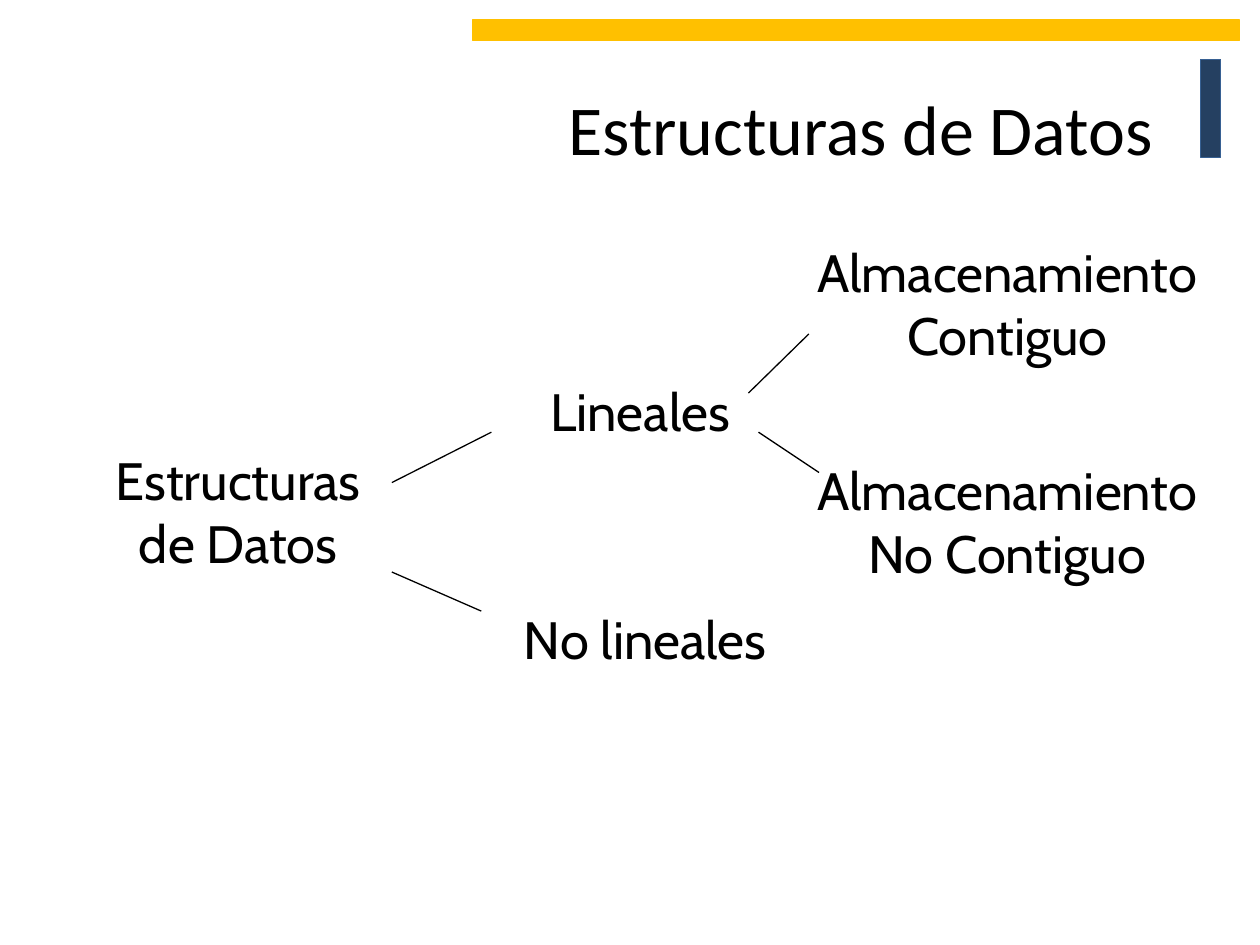
from pptx import Presentation
from pptx import util as u
from pptx.dml.color import RGBColor
from pptx.enum import shapes, text
from pptx.oxml.ns import qn
from lxml import etree


def color(hex_code):
    return RGBColor.from_string(hex_code)


def write(frame, content, *, size, font, fill, align, anchor):
    """Put one formatted paragraph into a text frame."""
    frame.word_wrap = True
    frame.vertical_anchor = anchor
    paragraph = frame.paragraphs[0]
    paragraph.alignment = align
    run = paragraph.add_run()
    run.text = content
    run.font.size = u.Pt(size)
    run.font.name = font
    run.font.color.rgb = color(fill)


class DiagramSlide:
    ink = "000000"
    line_width = u.Pt(0.75)
    title_font, title_size = "Calibri", 40
    label_font, label_size = "Cabin", 30

    def __init__(self, slide):
        self.slide = slide

    def bar(self, box, fill, outline):
        shape = self.slide.shapes.add_shape(
            shapes.MSO_SHAPE.RECTANGLE, *map(u.Inches, box))
        shape.shadow.inherit = False
        shape.fill.solid()
        shape.fill.fore_color.rgb = color(fill)
        shape.line.color.rgb = color(outline)
        shape.line.width = self.line_width

    def title(self, box, content):
        shape = self.slide.shapes.add_textbox(*map(u.Inches, box))
        write(shape.text_frame, content, size=self.title_size,
              font=self.title_font, fill=self.ink,
              align=text.PP_ALIGN.RIGHT, anchor=text.MSO_ANCHOR.MIDDLE)

    def label(self, box, content):
        shape = self.slide.shapes.add_textbox(*map(u.Inches, box))
        write(shape.text_frame, content, size=self.label_size,
              font=self.label_font, fill=self.ink,
              align=text.PP_ALIGN.CENTER, anchor=text.MSO_ANCHOR.TOP)
        shape.text_frame.auto_size = text.MSO_AUTO_SIZE.SHAPE_TO_FIT_TEXT

    def branch(self, ends):
        connector = self.slide.shapes.add_connector(
            shapes.MSO_CONNECTOR.STRAIGHT, *map(u.Inches, ends))
        connector.line.color.rgb = color(self.ink)
        connector.line.width = self.line_width
        properties = connector._element.spPr
        etree.SubElement(properties, qn("a:effectLst"))


LABELS = [
    ((0.75, 3.51, 2.28, 1.1), "Estructuras de Datos"),
    ((3.9, 2.96, 2.36, 0.6), "Lineales"),
    ((3.98, 4.77, 2.28, 0.6), "No lineales"),
    ((6.34, 1.86, 3.31, 1.1), "Almacenamiento Contiguo"),
    ((6.34, 3.59, 3.31, 1.1), "Almacenamiento No Contiguo"),
]
BRANCHES = [
    (3.11, 3.83, 3.9, 3.43),
    (3.11, 4.54, 3.82, 4.85),
    (5.94, 3.12, 6.42, 2.65),
    (6.02, 3.43, 6.5, 3.75),
]


def main():
    presentation = Presentation()
    presentation.slide_width = u.Inches(10)
    presentation.slide_height = u.Inches(7.5)
    slide = presentation.slides.add_slide(presentation.slide_layouts[6])
    diagram = DiagramSlide(slide)

    diagram.bar((9.53, 0.47, 0.16, 0.78), "254061", "376092")
    diagram.bar((3.75, 0.16, 6.09, 0.16), "FFC000", "FFC000")
    diagram.title((0.75, 0.67, 8.5, 0.68), "Estructuras de Datos")
    for box, content in LABELS:
        diagram.label(box, content)
    for ends in BRANCHES:
        diagram.branch(ends)

    presentation.save("out.pptx")


if __name__ == "__main__":
    main()
